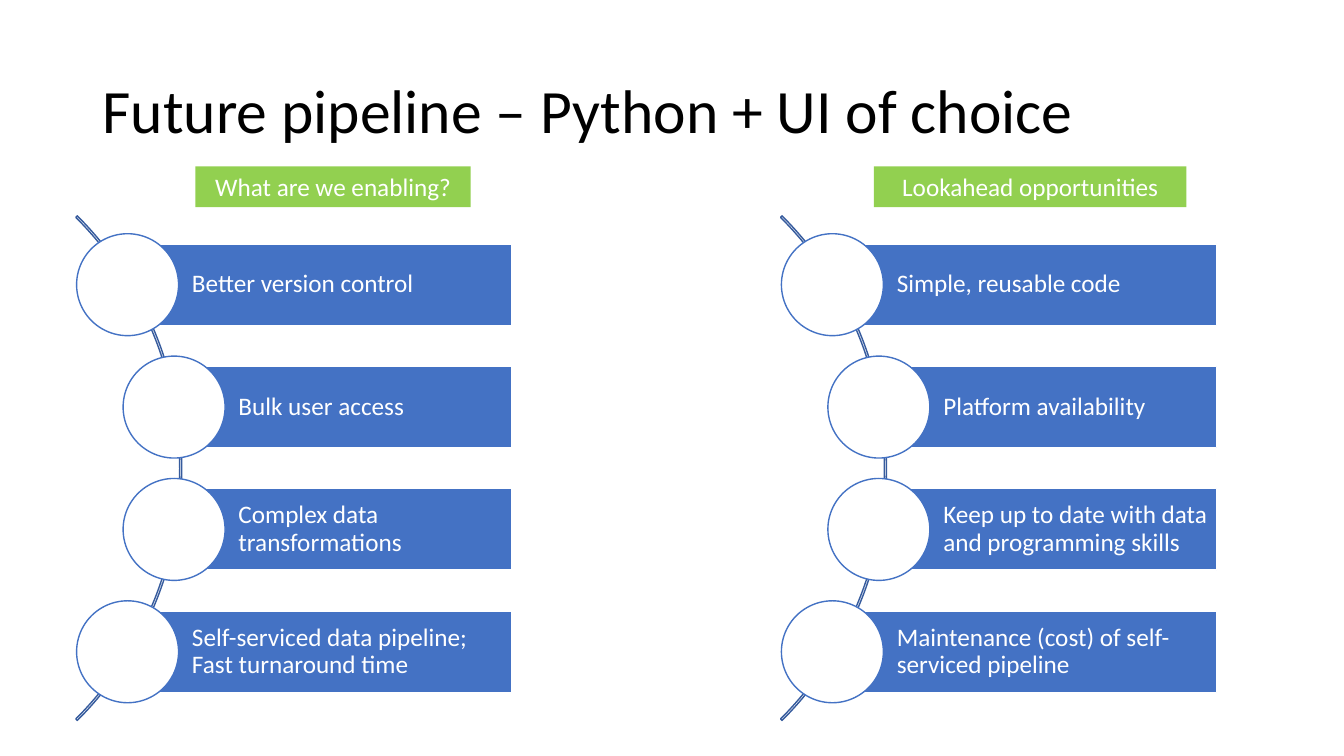
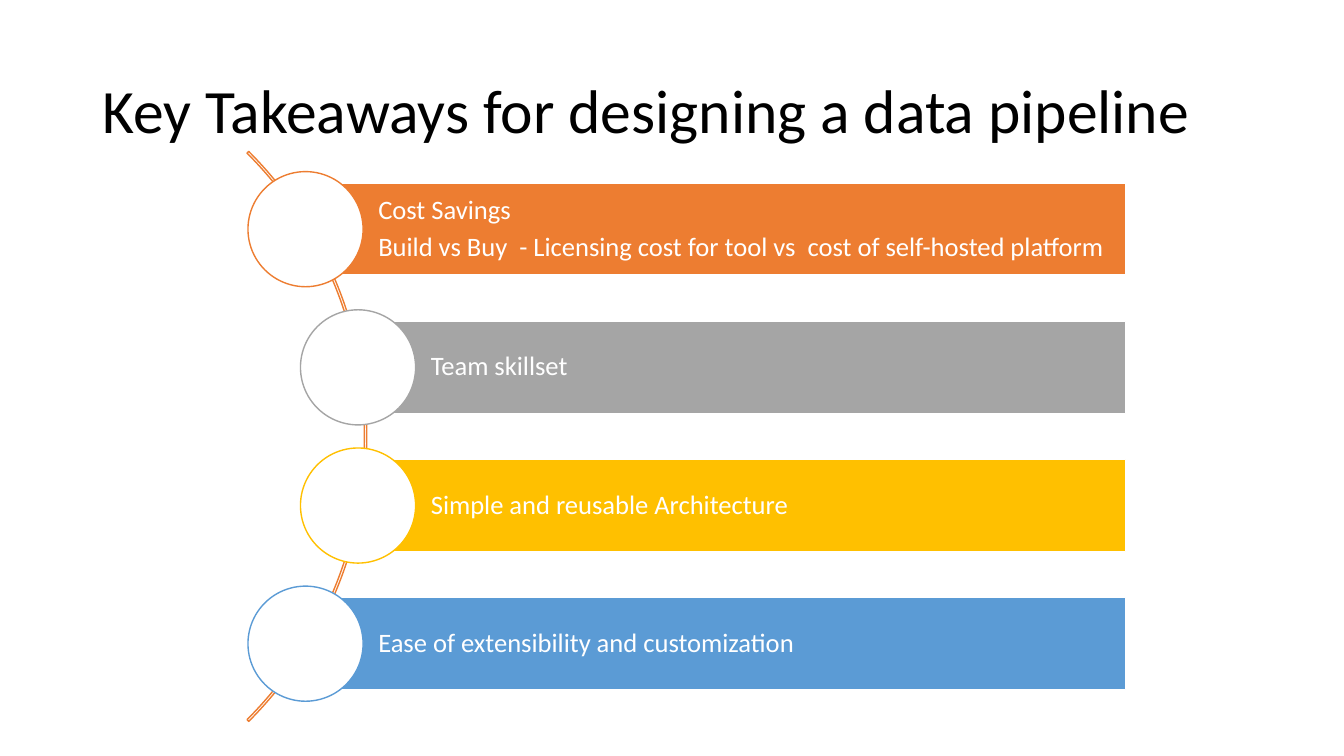
from typing import NamedTuple

from pptx import Presentation
from pptx import util as u
from pptx.dml.color import RGBColor
from pptx.enum import shapes, text

WHITE = RGBColor(0xFF, 0xFF, 0xFF)
BLACK = RGBColor(0x00, 0x00, 0x00)
BLUE = RGBColor(0x44, 0x72, 0xC4)
DARK_BLUE = RGBColor(0x36, 0x5B, 0x9D)
LIGHT_BLUE = RGBColor(0x5B, 0x9B, 0xD5)
ORANGE = RGBColor(0xED, 0x7D, 0x31)
GRAY = RGBColor(0xA5, 0xA5, 0xA5)
GOLD = RGBColor(0xFF, 0xC0, 0x00)
GREEN = RGBColor(0x92, 0xD0, 0x50)

FONT = "Calibri"
WIDTH, HEIGHT = u.Inches(13.333), u.Inches(7.5)
COLUMN, ROW = WIDTH / 100, HEIGHT / 100


class Box(NamedTuple):
    """Hold a rectangle in slide units."""
    left: float
    top: float
    width: float
    height: float

    def place(self):
        """Return the whole-number position and size."""
        return [round(length) for length in self]


def grid_box(left, top, width, height):
    """Return the box for a place on the grid of 100 columns and 100 rows."""
    return Box(left * COLUMN, top * ROW, width * COLUMN, height * ROW)


TITLE_BOX = grid_box(6.88, 5.33, 86.25, 19.33)


def add_run(paragraph, words, size, color):
    """Add one formatted run to a paragraph."""
    run = paragraph.add_run()
    run.text = words
    run.font.name = FONT
    run.font.size = u.Pt(size)
    run.font.color.rgb = color


def add_figure(parent, kind, box, fill=None, line=None):
    """Add a flat preset shape with the given fill and line."""
    shape = parent.add_shape(kind, *box.place())
    shape.shadow.inherit = False
    if fill is None:
        shape.fill.background()
    else:
        shape.fill.solid()
        shape.fill.fore_color.rgb = fill
    if line is None:
        shape.line.fill.background()
    else:
        shape.line.color.rgb = line
        shape.line.width = u.Pt(1)
    return shape


def add_titled_slide(presentation, title):
    """Add a title-only slide with the shared title style."""
    slide = presentation.slides.add_slide(presentation.slide_layouts[5])
    shape = slide.shapes.title
    shape.left, shape.top, shape.width, shape.height = TITLE_BOX.place()
    frame = shape.text_frame
    frame.word_wrap = True
    frame.vertical_anchor = text.MSO_ANCHOR.MIDDLE
    paragraph = frame.paragraphs[0]
    paragraph.alignment = text.PP_ALIGN.LEFT
    paragraph.line_spacing = 0.9
    add_run(paragraph, title, 44, BLACK)
    return slide


def add_heading(slide, box, words):
    """Add a green heading above a list."""
    shape = add_figure(slide.shapes, shapes.MSO_SHAPE.RECTANGLE, box, GREEN)
    frame = shape.text_frame
    frame.word_wrap = True
    frame.vertical_anchor = text.MSO_ANCHOR.TOP
    paragraph = frame.paragraphs[0]
    paragraph.alignment = text.PP_ALIGN.CENTER
    add_run(paragraph, words, 18, WHITE)


def add_bar(parent, box, lines, size, color):
    """Add a bar whose text starts to the right of its circle."""
    shape = add_figure(parent, shapes.MSO_SHAPE.RECTANGLE, box, color, WHITE)
    frame = shape.text_frame
    frame.word_wrap = True
    frame.vertical_anchor = text.MSO_ANCHOR.MIDDLE
    frame.margin_left = round(box.height * 0.79)
    frame.margin_top = frame.margin_right = frame.margin_bottom = u.Inches(0.05)
    for index, words in enumerate(lines):
        paragraph = frame.add_paragraph() if index else frame.paragraphs[0]
        paragraph.alignment = text.PP_ALIGN.LEFT
        paragraph.line_spacing = 0.9
        paragraph.space_after = u.Pt(size * 0.3)
        add_run(paragraph, words, size, WHITE)


def add_curved_list(slide, box, items, size, colors, arc_color):
    """Add four bars with circles strung along an arc."""
    parent = slide.shapes.add_group_shape().shapes
    pitch = box.height * 3 / 13
    bar_height, circle = pitch * 2 / 3, pitch * 5 / 6
    middle = box.top + box.height / 2
    diameter = box.height * 1.346
    arc_box = Box(box.left + pitch * 0.86 - diameter, middle - diameter / 2,
                  diameter, diameter)
    arc = add_figure(parent, shapes.MSO_SHAPE.BLOCK_ARC, arc_box, line=arc_color)
    for index, value in enumerate((189, 27, 0.003)):
        arc.adjustments[index] = value
    for index, (lines, color) in enumerate(zip(items, colors)):
        center = middle + (index - 1.5) * pitch
        left = box.left + (pitch * 0.38 if index in (1, 2) else 0)
        bar_left = left + circle / 2
        bar_box = Box(bar_left, center - bar_height / 2,
                      box.left + box.width - bar_left, bar_height)
        add_bar(parent, bar_box, lines, size, color)
        circle_box = Box(left, center - circle / 2, circle, circle)
        add_figure(parent, shapes.MSO_SHAPE.OVAL, circle_box, WHITE, color)


def build_future_slide(presentation):
    """Build the slide with two headed lists side by side."""
    slide = add_titled_slide(presentation, "Future pipeline – Python + UI of choice")
    enabling = [
        ["Better version control"],
        ["Bulk user access"],
        ["Complex data transformations"],
        ["Self-serviced data pipeline; Fast turnaround time"],
    ]
    opportunities = [
        ["Simple, reusable code"],
        ["Platform availability"],
        ["Keep up to date with data and programming skills"],
        ["Maintenance (cost) of self-serviced pipeline"],
    ]
    sections = [
        (5.7, 14.55, 20.48, "What are we enabling?", enabling),
        (58.14, 65.03, 23.25, "Lookahead opportunities", opportunities),
    ]
    for left, heading_left, heading_width, heading, items in sections:
        add_curved_list(slide, grid_box(left, 26.87, 32.4, 70.13), items, 18,
                        [BLUE] * 4, DARK_BLUE)
        add_heading(slide, grid_box(heading_left, 22, heading_width, 5.4), heading)


def build_takeaways_slide(presentation):
    """Build the slide with one wide list in four colours."""
    slide = add_titled_slide(presentation, "Key Takeaways for designing a data pipeline")
    takeaways = [
        ["Cost Savings",
         "Build vs Buy  - Licensing cost for tool vs  cost of self-hosted platform"],
        ["Team skillset"],
        ["Simple and reusable Architecture"],
        ["Ease of extensibility and customization"],
    ]
    add_curved_list(slide, grid_box(18.45, 18.13, 65.3, 79.2), takeaways, 19,
                    [ORANGE, GRAY, GOLD, LIGHT_BLUE], ORANGE)


def main():
    """Build and save the presentation."""
    presentation = Presentation()
    presentation.slide_width, presentation.slide_height = WIDTH, HEIGHT
    build_future_slide(presentation)
    build_takeaways_slide(presentation)
    presentation.save("out.pptx")


main()
